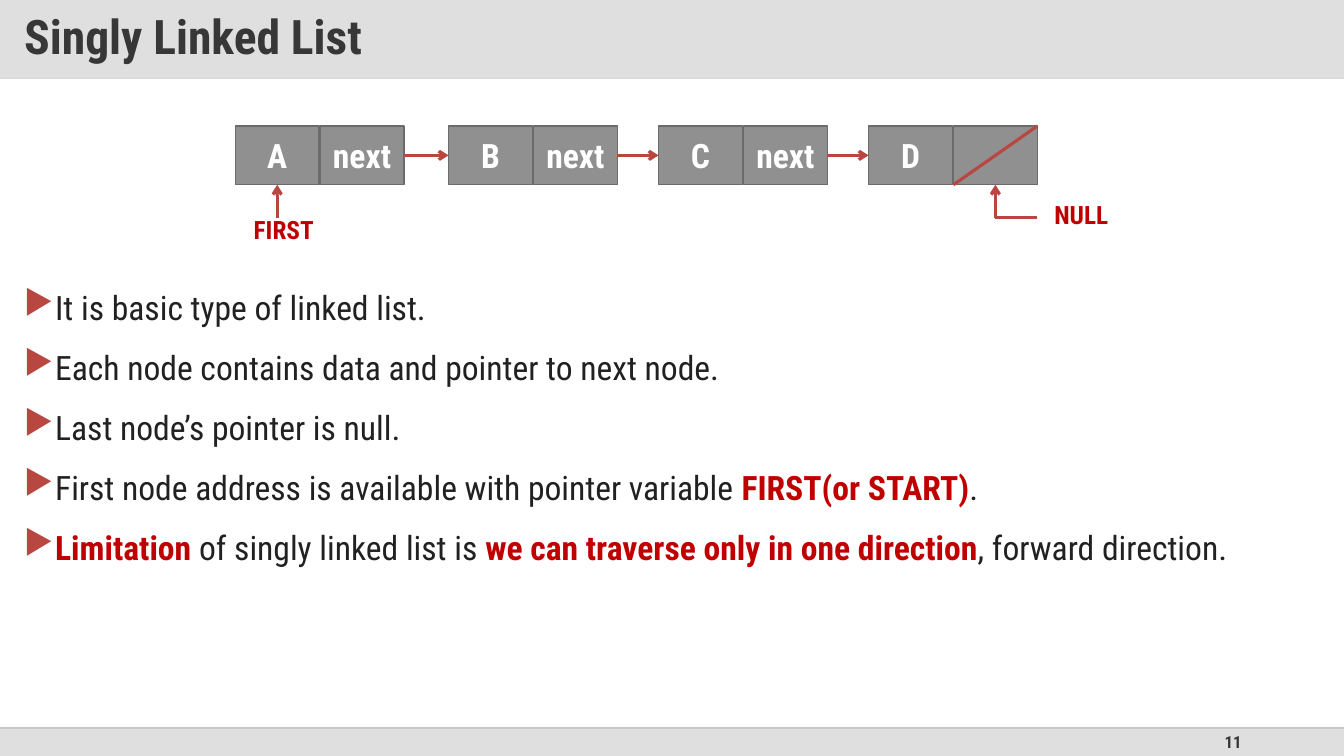
"""Build the Singly Linked List slide."""
from lxml.etree import SubElement
from pptx import Presentation
from pptx.dml.color import RGBColor
from pptx.enum.shapes import MSO_CONNECTOR, MSO_SHAPE
from pptx.enum.text import MSO_ANCHOR, PP_ALIGN
from pptx.oxml.ns import qn
from pptx.util import Pt

INK = {
    "bar": "DFDFDF", "rule": "D9D9D9", "foot": "C9C9C9", "dark": "373737",
    "body": "212121", "key": "C00000", "cell": "909090", "edge": "6B6B6B",
    "red": "B84742", "white": "FFFFFF",
}

deck = Presentation()
deck.slide_width, deck.slide_height = Pt(960), Pt(540)
slide = deck.slides.add_slide(deck.slide_layouts[6])
shapes = slide.shapes


def write(para, text, size, ink, bold=True):
    run = para.add_run()
    run.text = text
    run.font.name = "Roboto Condensed"
    run.font.size = Pt(size)
    run.font.bold = bold
    run.font.color.rgb = RGBColor.from_string(INK[ink])


def draw(x1, y1, x2, y2, ink="red", width=2.25, arrow=False):
    line = shapes.add_connector(
        MSO_CONNECTOR.STRAIGHT, Pt(x1), Pt(y1), Pt(x2), Pt(y2))
    line.line.color.rgb = RGBColor.from_string(INK[ink])
    line.line.width = Pt(width)
    if arrow:
        SubElement(line.line._get_or_add_ln(), qn("a:tailEnd"), type="arrow")
    SubElement(line._element.spPr, qn("a:effectLst"))
    return line


bars = []
for top, high in ((0, 56), (520, 20)):
    bar = shapes.add_shape(MSO_SHAPE.RECTANGLE, 0, Pt(top), Pt(960), Pt(high))
    bar.shadow.inherit = False
    bar.fill.solid()
    bar.fill.fore_color.rgb = RGBColor.from_string(INK["bar"])
    bar.line.fill.background()
    bars.append(bar)
draw(0, 56, 960, 56, "rule", 1)
draw(0, 520, 960, 520, "foot", 1)

frame = bars[0].text_frame
frame.margin_left = frame.margin_right = Pt(17.28)
frame.margin_top = frame.margin_bottom = Pt(8.64)
frame.vertical_anchor = MSO_ANCHOR.MIDDLE
para = frame.paragraphs[0]
para.alignment = PP_ALIGN.LEFT
para.line_spacing = 0.9
write(para, "Singly Linked List", 34, "dark")

frame = shapes.add_textbox(Pt(678), Pt(520), Pt(216), Pt(20)).text_frame
frame.word_wrap = True
frame.vertical_anchor = MSO_ANCHOR.MIDDLE
para = frame.paragraphs[0]
para.alignment = PP_ALIGN.RIGHT
write(para, "11", 12, "dark")

points = [
    [("It is basic type of linked list.", False)],
    [("Each node contains data and pointer to next node.", False)],
    [("Last node’s pointer is null.", False)],
    [("First node address is available with pointer variable ", False),
     ("FIRST(or START)", True), (".", False)],
    [("Limitation ", True), ("of singly linked list is ", False),
     ("we can traverse only in one direction", True),
     (", forward direction.", False)],
]
frame = shapes.add_textbox(Pt(10), Pt(197.3), Pt(940), Pt(311)).text_frame
frame.word_wrap = True
for i, parts in enumerate(points):
    para = frame.add_paragraph() if i else frame.paragraphs[0]
    para.alignment = PP_ALIGN.JUSTIFY
    para.line_spacing = 1.14
    para.space_before = Pt(10 if i else 0)
    props = para._p.get_or_add_pPr()
    props.set("marL", str(Pt(20.88)))
    props.set("indent", str(-Pt(20.88)))
    tint = SubElement(props, qn("a:buClr"))
    SubElement(tint, qn("a:srgbClr"), val=INK["red"])
    SubElement(props, qn("a:buChar"), char="▶")
    for text, key in parts:
        write(para, text, 24, "key" if key else "body", key)

nodes = []
for left, name, link in ((168, "A", "next"), (320.4, "B", "next"),
                         (470.4, "C", "next"), (620.4, "D", "")):
    pair = []
    for j, text in enumerate((name, link)):
        cell = shapes.add_shape(
            MSO_SHAPE.RECTANGLE, Pt(left + 60.6 * j), Pt(90), Pt(60), Pt(42))
        cell.shadow.inherit = False
        cell.fill.solid()
        cell.fill.fore_color.rgb = RGBColor.from_string(INK["cell"])
        cell.line.color.rgb = RGBColor.from_string(INK["edge"])
        cell.line.width = Pt(1)
        frame = cell.text_frame
        frame.vertical_anchor = MSO_ANCHOR.MIDDLE
        para = frame.paragraphs[0]
        para.alignment = PP_ALIGN.CENTER
        if text:
            write(para, text, 24, "white")
        pair.append(cell)
    nodes.append(pair)

for prev, after in zip(nodes, nodes[1:]):
    line = draw(0, 111, 40, 111, arrow=True)
    line.begin_connect(prev[1], 3)
    line.end_connect(after[0], 1)
draw(741, 90, 681, 132)

for x, cell in ((198, nodes[0][0]), (711, nodes[-1][1])):
    draw(x, 155.5, x, 132, arrow=True).end_connect(cell, 2)
draw(711, 155.5, 741, 155.5)

for text, left, top in (("FIRST", 174.2, 149.8), ("NULL", 746, 139)):
    frame = shapes.add_textbox(Pt(left), Pt(top), Pt(58), Pt(29)).text_frame
    frame.word_wrap = False
    write(frame.paragraphs[0], text, 18, "key")

deck.save("out.pptx")
